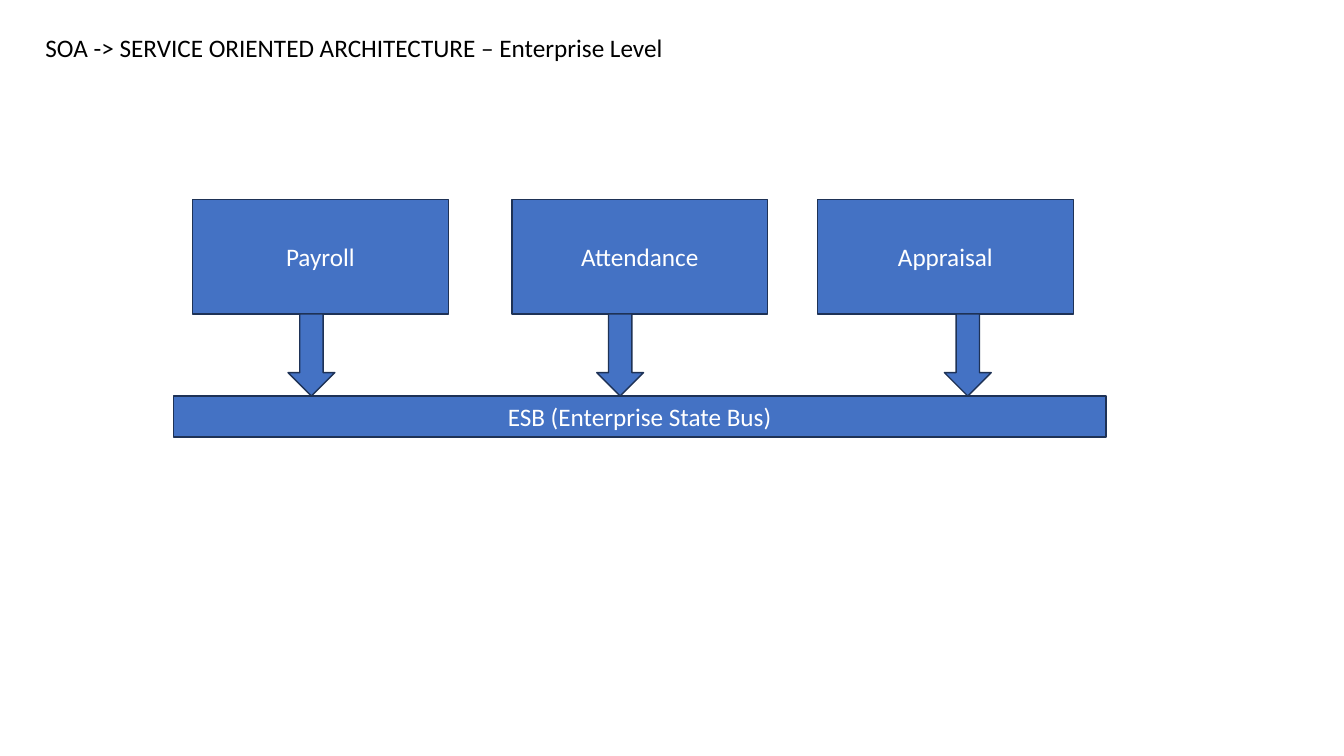
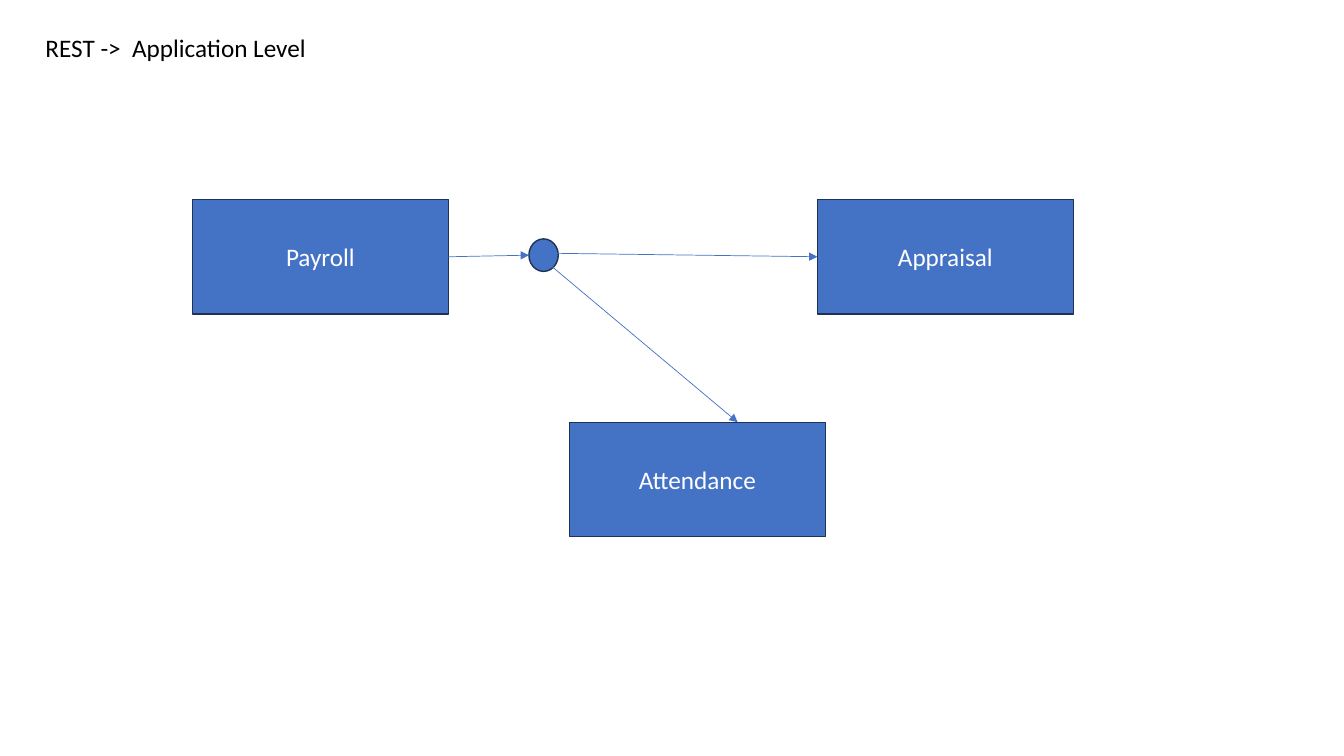
"""Build two slides that compare SOA and REST integration."""
import pptx
import pptx.dml.color
import pptx.enum.shapes
import pptx.enum.text
import pptx.oxml
import pptx.oxml.ns
import pptx.util

Cm = pptx.util.Cm
Shape = pptx.enum.shapes.MSO_SHAPE
Align = pptx.enum.text.PP_ALIGN
Anchor = pptx.enum.text.MSO_ANCHOR

COLOURS = {"blue": "4472C4", "navy": "1E3256", "white": "FFFFFF", "black": "000000"}
FONT = "Calibri"
BOX_TOP, BOX_WIDTH, BOX_HEIGHT = 5.03, 6.45, 2.88
BOX_BOTTOM = BOX_TOP + BOX_HEIGHT
BUS_TOP = 9.98


def colour(name):
    return pptx.dml.color.RGBColor.from_string(COLOURS[name])


def write(shape, text, ink="white", align=Align.CENTER, anchor=Anchor.MIDDLE):
    frame = shape.text_frame
    frame.word_wrap = True
    frame.auto_size = pptx.enum.text.MSO_AUTO_SIZE.NONE
    frame.vertical_anchor = anchor
    para = frame.paragraphs[0]
    para.alignment = align
    para.line_spacing = 1.0
    span = para.add_run()
    span.text = text
    span.font.name = FONT
    span.font.size = pptx.util.Pt(18)
    span.font.color.rgb = colour(ink)


deck = pptx.Presentation()
deck.slide_width, deck.slide_height = Cm(33.87), Cm(19.05)

diagrams = [
    ("SOA -> SERVICE ORIENTED ARCHITECTURE – Enterprise Level", [
        (Shape.RECTANGLE, "ESB (Enterprise State Bus)", 4.37, BUS_TOP, 23.5, 1.03),
        (Shape.RECTANGLE, "Payroll", 4.85, BOX_TOP, BOX_WIDTH, BOX_HEIGHT),
        (Shape.RECTANGLE, "Attendance", 12.9, BOX_TOP, BOX_WIDTH, BOX_HEIGHT),
        (Shape.RECTANGLE, "Appraisal", 20.6, BOX_TOP, BOX_WIDTH, BOX_HEIGHT),
    ] + [
        (Shape.DOWN_ARROW, "", left, BOX_BOTTOM, 1.18, BUS_TOP - BOX_BOTTOM)
        for left in (7.26, 15.04, 23.8)
    ], []),
    ("REST ->  Application Level", [
        (Shape.RECTANGLE, "Payroll", 4.85, BOX_TOP, BOX_WIDTH, BOX_HEIGHT),
        (Shape.RECTANGLE, "Attendance", 14.35, 10.64, BOX_WIDTH, BOX_HEIGHT),
        (Shape.RECTANGLE, "Appraisal", 20.6, BOX_TOP, BOX_WIDTH, BOX_HEIGHT),
        (Shape.OVAL, "", 13.33, 6.02, 0.74, 0.82),
    ], [
        (11.3, 6.47, 13.33, 6.43, "Payroll", None),
        (13.77, 6.38, 20.6, 6.47, None, "Appraisal"),
        (13.77, 6.6, 18.59, 10.64, None, None),
    ]),
]

for heading, shapes, links in diagrams:
    page = deck.slides.add_slide(deck.slide_layouts[5])
    title = page.shapes.title
    title.left, title.top, title.width, title.height = Cm(0.89), Cm(0.68), Cm(28.93), Cm(1.02)
    write(title, heading, ink="black", align=Align.LEFT, anchor=Anchor.TOP)

    boxes = {}
    for kind, label, left, top, width, height in shapes:
        box = page.shapes.add_shape(kind, Cm(left), Cm(top), Cm(width), Cm(height))
        box.shadow.inherit = False
        box.fill.solid()
        box.fill.fore_color.rgb = colour("blue")
        box.line.color.rgb = colour("navy")
        box.line.width = pptx.util.Pt(1)
        if label:
            write(box, label)
            boxes[label] = box

    for start_x, start_y, end_x, end_y, source, target in links:
        link = page.shapes.add_connector(
            pptx.enum.shapes.MSO_CONNECTOR.STRAIGHT,
            Cm(start_x), Cm(start_y), Cm(end_x), Cm(end_y))
        if source:
            link.begin_connect(boxes[source], 3)
        if target:
            link.end_connect(boxes[target], 1)
        link.line.color.rgb = colour("blue")
        link.line.width = pptx.util.Pt(0.5)
        head = pptx.oxml.parse_xml(
            f'<a:tailEnd {pptx.oxml.ns.nsdecls("a")} type="triangle"/>')
        link.line._get_or_add_ln().append(head)
        link._element.spPr.append(
            pptx.oxml.parse_xml(f'<a:effectLst {pptx.oxml.ns.nsdecls("a")}/>'))

deck.save("out.pptx")
